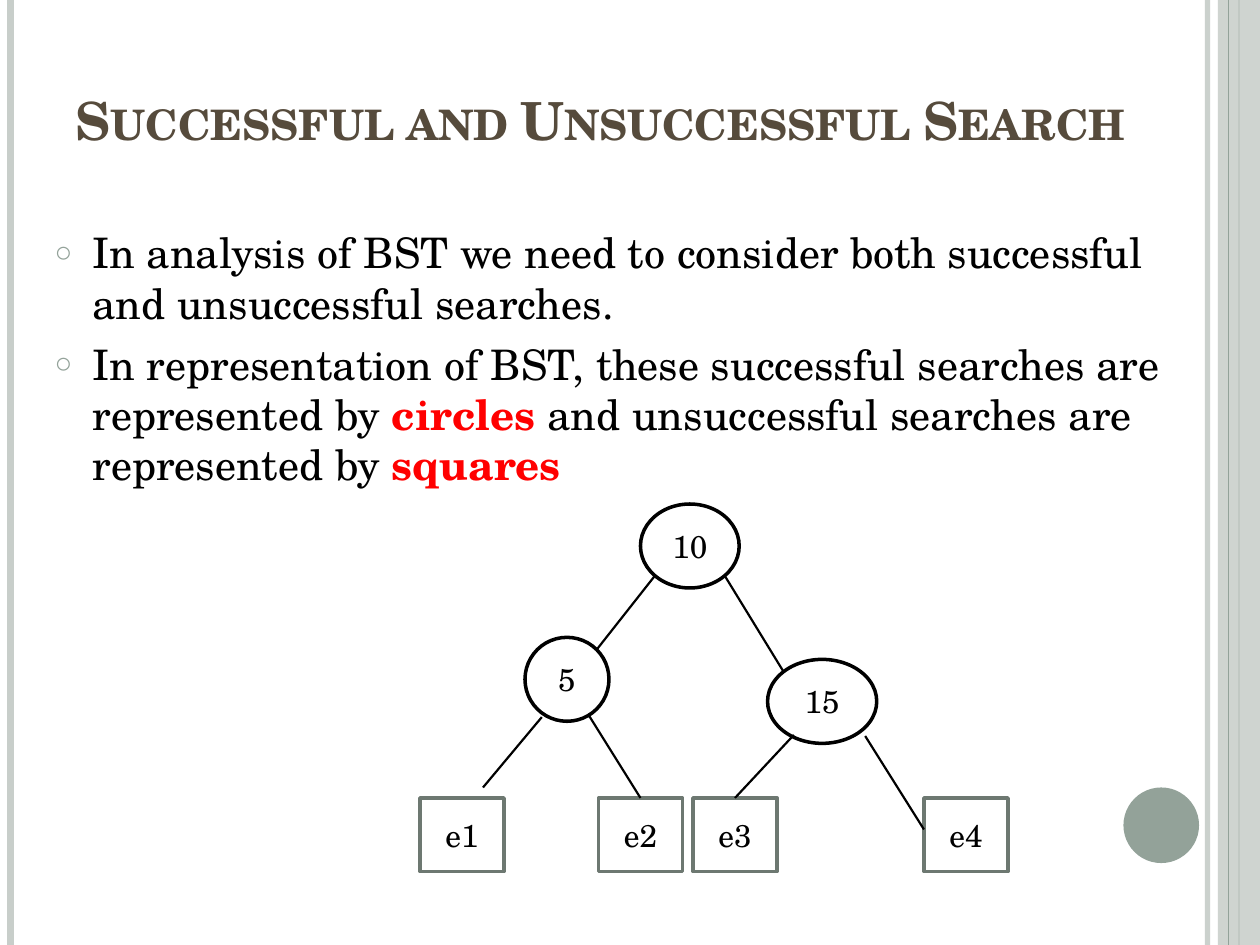
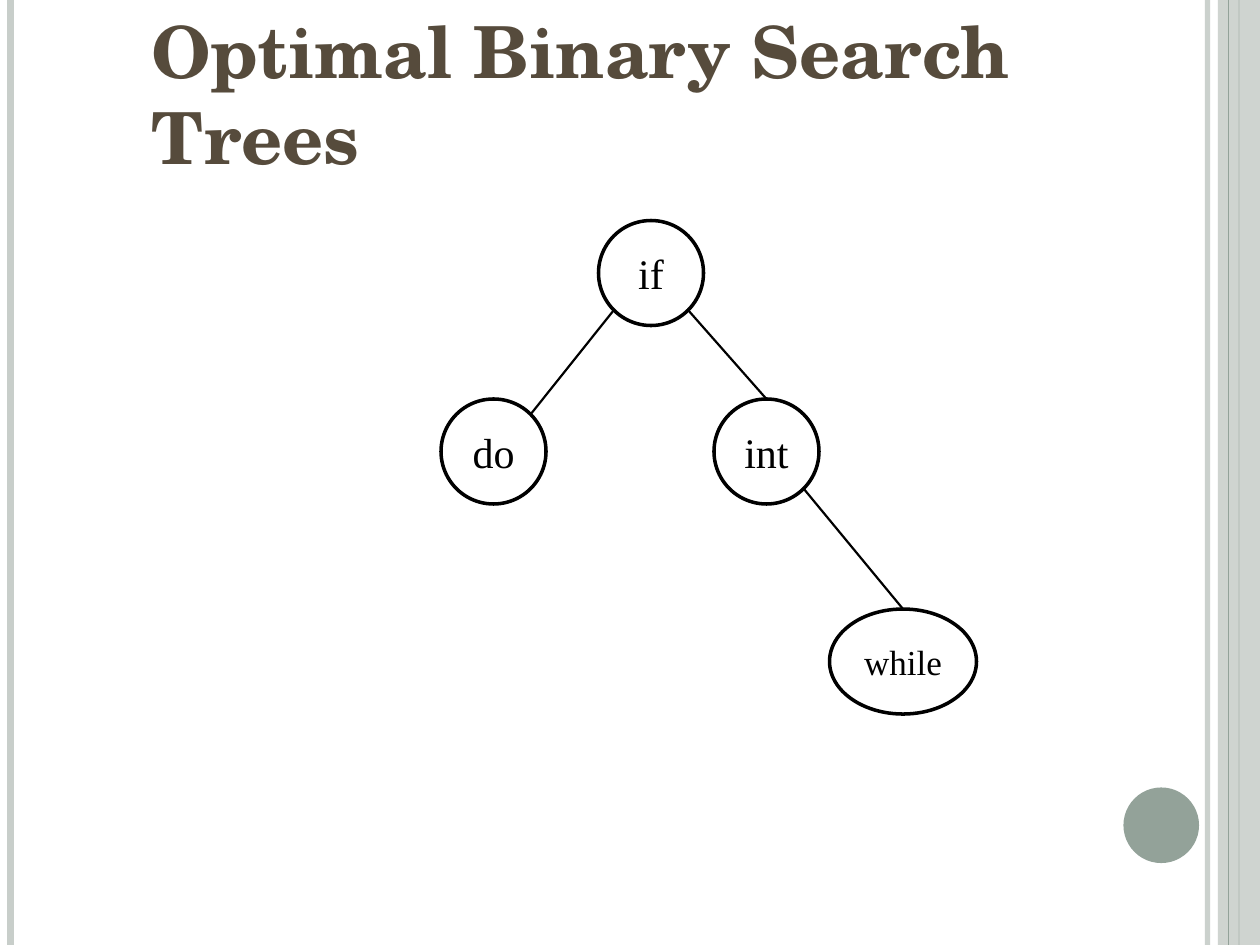
"""Build two slides on binary search trees, laid out on a 120 by 90 grid."""
import math
from dataclasses import dataclass
from typing import Optional

from lxml import etree
from pptx import Presentation
from pptx import util as u
from pptx.dml.color import RGBColor
from pptx.enum import shapes, text
from pptx.oxml.ns import qn

BLACK = RGBColor(0x00, 0x00, 0x00)
WHITE = RGBColor(0xFF, 0xFF, 0xFF)
RED = RGBColor(0xFF, 0x00, 0x00)
BROWN = RGBColor(0x56, 0x4B, 0x3C)
SAGE = RGBColor(0x93, 0xA2, 0x99)
PALE_SAGE = RGBColor(0xC8, 0xCE, 0xCA)
DARK_SAGE = RGBColor(0x6D, 0x78, 0x71)

SERIF = "TeX Gyre Schola"
TIMES = "Times New Roman"
WIDTH, HEIGHT = u.Inches(10), u.Inches(7.5)
COLUMNS, ROWS = 120, 90
OVAL = shapes.MSO_SHAPE.OVAL
RECT = shapes.MSO_SHAPE.RECTANGLE
TOP = 0

Point = tuple[float, float]


@dataclass(frozen=True)
class Box:
    """An area in grid columns and rows."""
    x: float
    y: float
    w: float
    h: float

    def lengths(self) -> tuple[int, int, int, int]:
        """Return left, top, width and height as slide lengths."""
        return col(self.x), row(self.y), col(self.w), row(self.h)

    def diagonal(self, right: int, down: int) -> Point:
        """Return the point of the inscribed ellipse towards a corner."""
        reach = math.sqrt(0.5)
        return (self.x + self.w / 2 * (1 + right * reach),
                self.y + self.h / 2 * (1 + down * reach))

    def top(self) -> Point:
        """Return the middle of the top side."""
        return self.x + self.w / 2, self.y


@dataclass(frozen=True)
class Rule:
    """A vertical line of the slide frame."""
    x: float
    color: RGBColor
    width: float
    opacity: int = 100


@dataclass(frozen=True)
class Node:
    """A labelled node of a tree."""
    label: str
    box: Box
    kind: shapes.MSO_SHAPE = OVAL
    font: str = SERIF
    size: int = 18
    line: RGBColor = BLACK
    fill: Optional[RGBColor] = None


@dataclass(frozen=True)
class Edge:
    """A line from a point to a point, or to the top of a named node."""
    start: Point
    end: Optional[Point] = None
    child: str = ""


BACK_RULES = (Rule(115, PALE_SAGE, 3, 93), Rule(1, PALE_SAGE, 4.5), Rule(118, SAGE, 1.5))
SIDE_BAND = Box(116, 0, 4, 90)
FRONT_RULE = Rule(117, SAGE, 0.75)
CORNER_DISC = Box(107, 75, 7.2, 7.2)

FIVE, TEN, FIFTEEN = Box(50, 60.7, 8, 8), Box(61, 48, 9.4, 8), Box(73.1, 62.8, 10.4, 8)
SEARCH_NODES = [Node(label, box, fill=WHITE)
                for label, box in (("5", FIVE), ("10", TEN), ("15", FIFTEEN))]
SEARCH_NODES += [Node(f"e{i}", Box(x, 76, 8, 7), RECT, line=DARK_SAGE)
                 for i, x in enumerate((40, 57, 66, 88), 1)]
SEARCH_EDGES = [
    Edge(TEN.diagonal(1, 1), FIFTEEN.diagonal(-1, -1)),
    Edge(FIVE.diagonal(1, -1), TEN.diagonal(-1, 1)),
    Edge((51.6, 68.3), (46, 75)),
    Edge((75.6, 70), child="e3"),
    Edge((82.4, 70.1), (88, 79)),
    Edge((56, 68), child="e2"),
]

IF, WHILE, INT, DO = Box(57, 21, 10, 10), Box(79, 58, 14, 10), Box(68, 38, 10, 10), Box(42, 38, 10, 10)
KEYWORD_NODES = [Node(label, box, font=TIMES, size=size) for label, box, size in
                 (("if", IF, 24), ("while", WHILE, 20), ("int", INT, 24), ("do", DO, 24))]
KEYWORD_EDGES = [
    Edge(IF.diagonal(-1, 1), DO.diagonal(1, -1)),
    Edge(IF.diagonal(1, 1), child="int"),
    Edge(INT.diagonal(1, 1), child="while"),
]

POINTS = (
    (("In analysis of BST we need to consider both successful and unsuccessful searches.", False),),
    (("In representation of BST, these successful searches are represented by ", False),
     ("circles", True),
     (" and unsuccessful searches are represented by ", False),
     ("squares", True)),
)


def col(n: float) -> int:
    """Return the length of n grid columns."""
    return round(WIDTH * n / COLUMNS)


def row(n: float) -> int:
    """Return the length of n grid rows."""
    return round(HEIGHT * n / ROWS)


def add_run(p, words: str, size: float, color: RGBColor, bold: bool = False, font: str = SERIF):
    """Add one formatted run to a paragraph."""
    r = p.add_run()
    r.text = words
    r.font.name, r.font.size, r.font.bold = font, u.Pt(size), bold
    r.font.color.rgb = color
    return r


def set_opacity(sp, percent: int) -> None:
    """Make the colours of a shape partly transparent."""
    for clr in sp._element.spPr.iter(qn("a:srgbClr")):
        etree.SubElement(clr, qn("a:alpha")).set("val", str(percent * 1000))


def add_line(slide, start: Point, end: Point, color: RGBColor, width: float):
    """Draw a straight line without shadow."""
    cx = slide.shapes.add_connector(shapes.MSO_CONNECTOR.STRAIGHT, col(start[0]), row(start[1]),
                                    col(end[0]), row(end[1]))
    cx.line.color.rgb, cx.line.width = color, u.Pt(width)
    etree.SubElement(cx._element.spPr, qn("a:effectLst"))
    return cx


def add_area(slide, kind: shapes.MSO_SHAPE, box: Box, fill: Optional[RGBColor]):
    """Draw a preset shape without line or shadow."""
    sp = slide.shapes.add_shape(kind, *box.lengths())
    sp.shadow.inherit = False
    sp.line.fill.background()
    if fill is None:
        sp.fill.background()
    else:
        sp.fill.solid()
        sp.fill.fore_color.rgb = fill
    return sp


def add_rule(slide, rule: Rule) -> None:
    """Draw one full-height line of the frame."""
    cx = add_line(slide, (rule.x, 0), (rule.x, ROWS), rule.color, rule.width)
    if rule.opacity < 100:
        set_opacity(cx, rule.opacity)


def add_frame(slide) -> None:
    """Draw the lines, band and disc that all slides share."""
    for rule in BACK_RULES:
        add_rule(slide, rule)
    set_opacity(add_area(slide, RECT, SIDE_BAND, PALE_SAGE), 87)
    add_rule(slide, FRONT_RULE)
    add_area(slide, OVAL, CORNER_DISC, SAGE)


def place(sp, box: Box, anchor: text.MSO_ANCHOR):
    """Move a placeholder and return its text frame."""
    sp.left, sp.top, sp.width, sp.height = box.lengths()
    tf = sp.text_frame
    tf.word_wrap, tf.auto_size, tf.vertical_anchor = True, text.MSO_AUTO_SIZE.NONE, anchor
    return tf


def add_slide(prs, layout: int, title: str, box: Box, size: float, anchor: text.MSO_ANCHOR,
              small_caps: bool = False):
    """Add a slide with the shared frame and title style."""
    slide = prs.slides.add_slide(prs.slide_layouts[layout])
    add_frame(slide)
    p = place(slide.shapes.title, box, anchor).paragraphs[0]
    p.alignment = text.PP_ALIGN.LEFT
    r = add_run(p, title, size, BROWN, True)
    if small_caps:
        r.font._element.set("cap", "small")
    return slide


def add_bullet(p) -> None:
    """Give a paragraph a ring bullet with a hanging indent."""
    pPr = p._p.get_or_add_pPr()
    indent = u.Inches(0.3)
    pPr.set("marL", str(indent))
    pPr.set("indent", str(-indent))
    clr = etree.SubElement(pPr, qn("a:buClr"))
    etree.SubElement(clr, qn("a:srgbClr")).set("val", str(SAGE))
    etree.SubElement(pPr, qn("a:buSzPct")).set("val", "70000")
    etree.SubElement(pPr, qn("a:buChar")).set("char", "○")


def fill_body(tf) -> None:
    """Write the bulleted points, with key words in bold red."""
    for i, runs in enumerate(POINTS):
        p = tf.add_paragraph() if i else tf.paragraphs[0]
        p.space_before = u.Pt(6 if i else 0)
        add_bullet(p)
        for words, key in runs:
            add_run(p, words, 24, RED if key else BLACK, key)


def add_node(slide, node: Node):
    """Draw one tree node with its centred label."""
    sp = add_area(slide, node.kind, node.box, node.fill)
    sp.line.color.rgb, sp.line.width = node.line, u.Pt(2)
    tf = sp.text_frame
    tf.word_wrap, tf.vertical_anchor = False, text.MSO_ANCHOR.MIDDLE
    p = tf.paragraphs[0]
    p.alignment = text.PP_ALIGN.CENTER
    add_run(p, node.label, node.size, BLACK, font=node.font)
    return sp


def add_tree(slide, nodes: list[Node], edges: list[Edge]) -> None:
    """Draw the nodes of a tree and join them."""
    drawn = {node.label: add_node(slide, node) for node in nodes}
    boxes = {node.label: node.box for node in nodes}
    for edge in edges:
        end = edge.end or boxes[edge.child].top()
        cx = add_line(slide, edge.start, end, BLACK, 1.25)
        if edge.child:
            cx.end_connect(drawn[edge.child], TOP)


def main() -> None:
    """Build and save the presentation."""
    prs = Presentation()
    prs.slide_width, prs.slide_height = WIDTH, HEIGHT

    search = add_slide(prs, 1, "Successful and Unsuccessful Search", Box(6, 3.6, 104, 11.4),
                       30, text.MSO_ANCHOR.BOTTOM, small_caps=True)
    fill_body(place(search.placeholders[1], Box(4, 21, 108, 64), text.MSO_ANCHOR.TOP))
    add_tree(search, SEARCH_NODES, SEARCH_EDGES)

    optimal = add_slide(prs, 5, "Optimal Binary Search Trees", Box(13.2, 0, 97.8, 17),
                        41, text.MSO_ANCHOR.TOP)
    add_tree(optimal, KEYWORD_NODES, KEYWORD_EDGES)

    prs.save("out.pptx")


if __name__ == "__main__":
    main()
